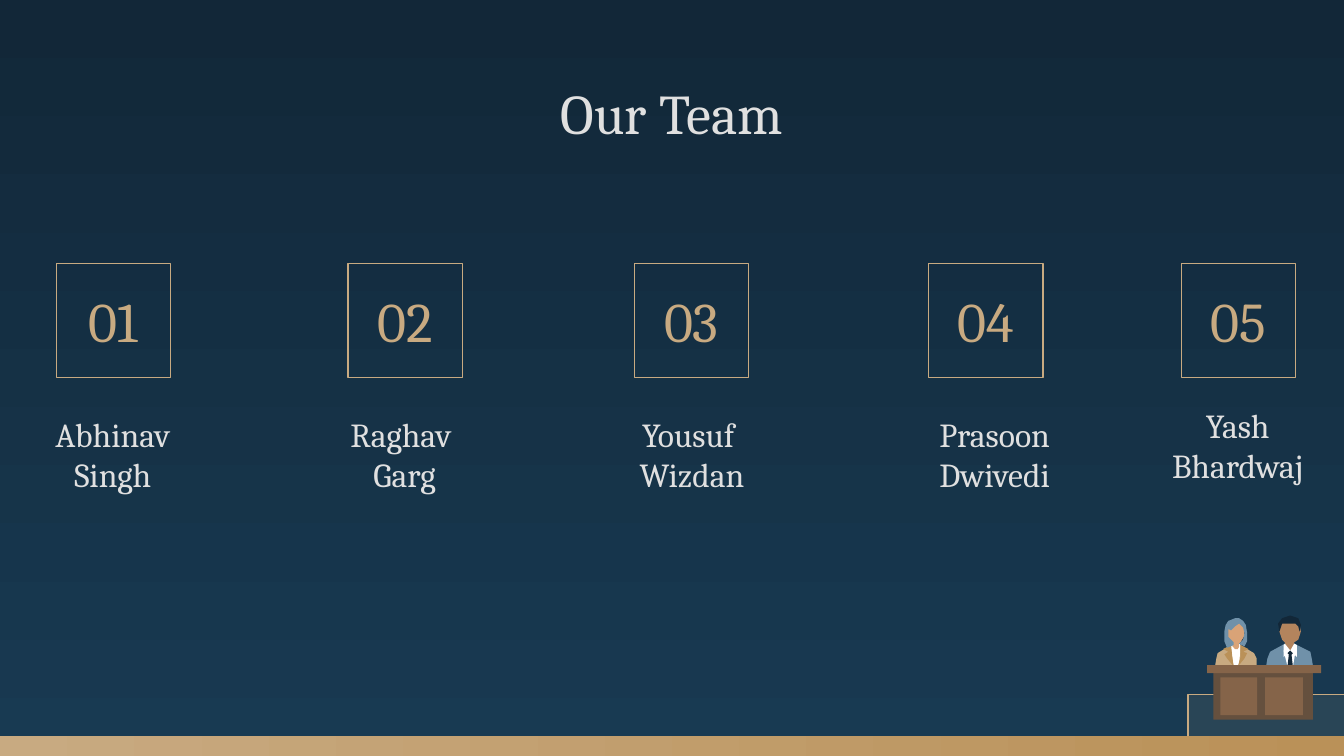
from lxml import etree
from pptx import Presentation
from pptx.dml.color import RGBColor
from pptx.enum import shapes, text
from pptx.oxml import ns
from pptx.util import Pt

NAVY = RGBColor(0x12, 0x27, 0x38)
BLUE = RGBColor(0x18, 0x3A, 0x52)
GOLD = RGBColor(0xC8, 0xAA, 0x81)
DARK_GOLD = RGBColor(0xBA, 0x91, 0x58)
LIGHT = RGBColor(0xE0, 0xE0, 0xE0)
WHITE = RGBColor(0xFF, 0xFF, 0xFF)
STEEL = RGBColor(0x70, 0x91, 0xA9)
TAN = RGBColor(0xD9, 0xA3, 0x77)
BROWN = RGBColor(0xB3, 0x84, 0x5D)
WOOD = RGBColor(0x85, 0x64, 0x49)
DARK_WOOD = RGBColor(0x65, 0x50, 0x3E)

FONT = "Cambria"
BOX, BOX_TOP = 61.2, 141.1
NAME_H = 61.2

# number, box left, name, then left, top and width of the name
TEAM = [
    ("01", 30.2, "Abhinav\vSingh", -13.7, 211, 148.3),
    ("02", 186.5, "Raghav \vGarg", 142.6, 211, 148.3),
    ("03", 339.8, "Yousuf \vWizdan", 296.6, 211, 148.3),
    ("04", 497.5, "Prasoon\vDwivedi", 454.3, 211, 157),
    ("05", 632.9, "Yash\nBhardwaj", 584.6, 205.9, 157),
]

# Outlines in hundredths of an inch (0.72 pt)
UNIT = 0.72
MAN = [
    (BROWN, [(973, 486), (963, 481), (963, 478), (966, 476), (967, 473), (968, 470),
             (967, 464), (965, 461), (960, 459), (954, 462), (952, 466), (952, 470),
             (953, 473), (954, 476), (956, 478), (956, 481), (948, 485), (945, 489),
             (943, 496), (976, 496), (975, 490)]),
    (STEEL, [(956, 479), (945, 485), (943, 490), (942, 496), (977, 496), (976, 490),
             (975, 485), (963, 479), (960, 485)]),
    (NAVY, [(954, 464), (957, 464), (960, 464), (964, 464), (966, 466), (967, 470),
            (968, 465), (966, 460), (960, 458), (954, 460), (951, 464), (952, 470)]),
    (WHITE, [(955, 484), (958, 496), (962, 496), (964, 484)]),
    (WHITE, [(956, 479), (955, 480), (955, 489), (960, 484)]),
    (WHITE, [(963, 479), (965, 480), (965, 489), (960, 484)]),
    (NAVY, [(960, 484), (958, 486), (959, 487), (958, 496), (962, 496), (961, 487),
            (962, 486)]),
]
WOMAN = [
    (TAN, [(920, 480), (916, 478), (913, 473), (913, 467), (916, 463), (920, 462),
           (924, 464), (926, 468), (926, 473), (923, 478)]),
    (GOLD, [(916, 480), (906, 486), (905, 490), (904, 496), (935, 496), (935, 490),
            (933, 486), (923, 480)]),
    (WHITE, [(916, 479), (916, 482), (918, 496), (922, 496), (923, 481), (923, 479)]),
    (TAN, [(917, 475), (917, 481), (919, 483), (921, 483), (922, 481), (922, 475),
           (920, 472)]),
    (DARK_GOLD, [(916, 480), (910, 483), (914, 485), (911, 487), (913, 490),
                 (918, 496), (917, 490)]),
    (DARK_GOLD, [(923, 480), (923, 489), (921, 496), (926, 490), (928, 486),
                 (925, 485), (929, 483)]),
    (STEEL, [(919, 460), (914, 462), (912, 465), (911, 470), (911, 477), (913, 482),
             (918, 480), (918, 478), (914, 474), (914, 468), (916, 469), (919, 466),
             (922, 464), (925, 467), (926, 471), (925, 476), (922, 479), (926, 481),
             (928, 477), (928, 471), (927, 465), (925, 462), (922, 460)]),
]
# Desk parts: colour, left, top, width, height in points
DESK = [
    (DARK_WOOD, 650.1, 359.3, 53.3, 26.3),
    (WOOD, 653.8, 362.9, 19.7, 20.2),
    (WOOD, 646.6, 356.4, 61.2, 4.3),
    (WOOD, 677.8, 362.9, 20.2, 20.2),
]


def set_gradient(fill, start, end, angle):
    fill.gradient()
    fill.gradient_angle = angle
    for stop, color in zip(fill.gradient_stops, (start, end)):
        stop.color.rgb = color


def write(sp, content, size, color, anchor):
    tf = sp.text_frame
    tf.word_wrap = True
    tf.auto_size = text.MSO_AUTO_SIZE.NONE
    tf.vertical_anchor = anchor
    tf.margin_left = tf.margin_right = tf.margin_top = tf.margin_bottom = Pt(7.2)
    tf.text = content
    for p in tf.paragraphs:
        p.alignment = text.PP_ALIGN.CENTER
        for r in p.runs:
            r.font.name, r.font.size = FONT, Pt(size)
            r.font.color.rgb = color


def add_rect(s, left, top, width, height, fill=None, line=None):
    sp = s.shapes.add_shape(shapes.MSO_SHAPE.RECTANGLE,
                            Pt(left), Pt(top), Pt(width), Pt(height))
    sp.shadow.inherit = False
    if fill is None:
        sp.fill.background()
    else:
        sp.fill.solid()
        sp.fill.fore_color.rgb = fill
    if line is None:
        sp.line.fill.background()
    else:
        sp.line.color.rgb = line
        sp.line.width = Pt(0.75)
    return sp


def add_outline(s, color, points):
    builder = s.shapes.build_freeform(*points[0], scale=Pt(UNIT))
    builder.add_line_segments(points[1:], close=True)
    sp = builder.convert_to_shape()
    sp.shadow.inherit = False
    sp.fill.solid()
    sp.fill.fore_color.rgb = color
    sp.line.fill.background()


def add_scene(s):
    # Translucent panel behind the desk
    panel = add_rect(s, 636.5, 372.2, 85, 33.1, GOLD, GOLD)
    clr = panel.fill._xPr.find(".//" + ns.qn("a:srgbClr"))
    etree.SubElement(clr, ns.qn("a:alpha"), val="10000")
    # Two people at the desk
    for color, points in MAN + WOMAN:
        add_outline(s, color, points)
    for color, *place in DESK:
        add_rect(s, *place, fill=color)
    # Gold floor
    floor = add_rect(s, 0, 394.2, 720, 10.8, GOLD)
    set_gradient(floor.fill, GOLD, DARK_GOLD, 0)


def add_member(s, number, box_left, name, left, top, width):
    sp = add_rect(s, box_left, BOX_TOP, BOX, BOX, line=GOLD)
    write(sp, number, 30, GOLD, text.MSO_ANCHOR.MIDDLE)
    sp = s.shapes.add_textbox(Pt(left), Pt(top), Pt(width), Pt(NAME_H))
    write(sp, name, 18, LIGHT, text.MSO_ANCHOR.BOTTOM)


def main():
    prs = Presentation()
    prs.slide_width, prs.slide_height = Pt(720), Pt(405)
    s = prs.slides.add_slide(prs.slide_layouts[5])
    set_gradient(s.background.fill, NAVY, BLUE, 270)
    add_scene(s)
    # Title
    title = s.shapes.title
    title.left, title.top, title.width, title.height = Pt(56.7), Pt(35.1), Pt(606.6), Pt(45.1)
    write(title, "Our Team", 30, LIGHT, text.MSO_ANCHOR.TOP)
    # Team members
    for member in TEAM:
        add_member(s, *member)
    prs.save("out.pptx")


if __name__ == "__main__":
    main()
